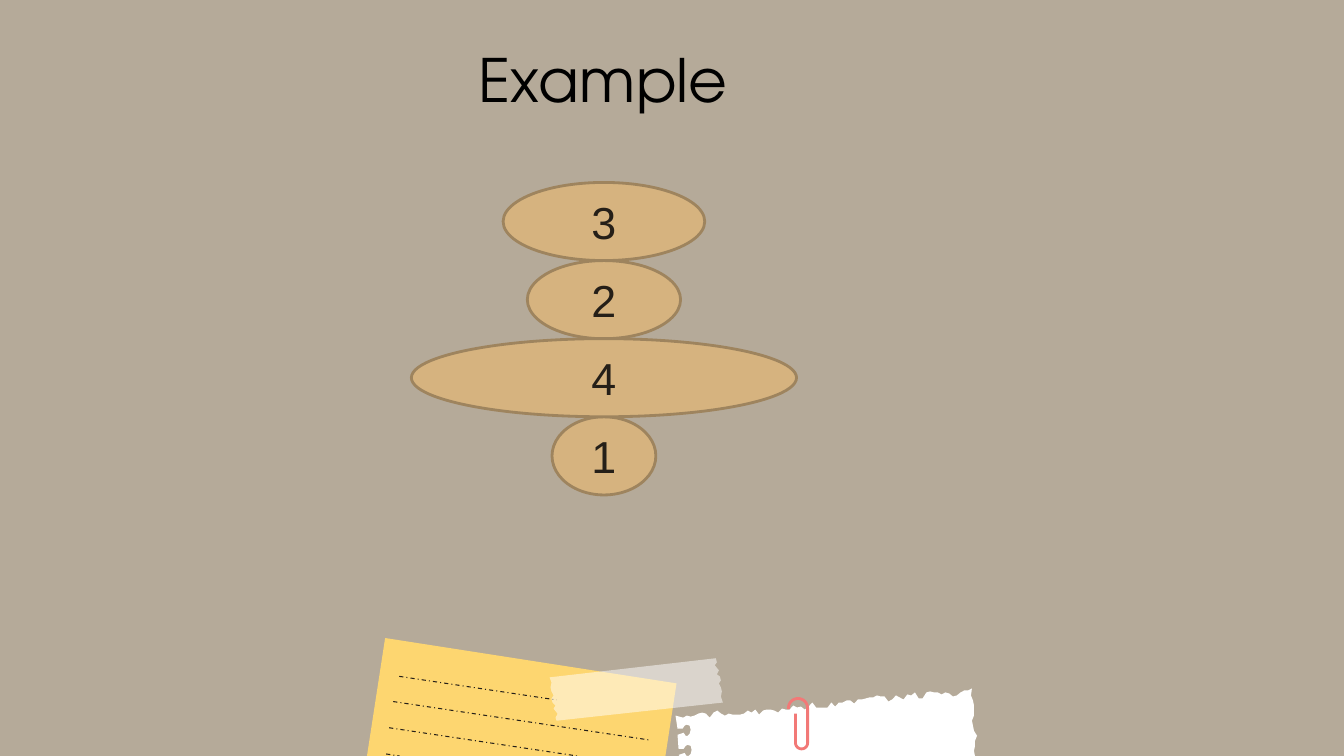
from dataclasses import dataclass
from math import cos, pi, sin

from lxml import etree
from pptx import Presentation
from pptx.dml.color import RGBColor
from pptx.enum.dml import MSO_LINE
from pptx.enum.shapes import MSO_CONNECTOR, MSO_SHAPE
from pptx.enum.text import MSO_ANCHOR, MSO_AUTO_SIZE, PP_ALIGN
from pptx.oxml.ns import qn
from pptx.util import Inches, Pt

DASH_DOT = MSO_LINE.DASH_DOT
STRAIGHT = MSO_CONNECTOR.STRAIGHT
ELLIPSE = MSO_SHAPE.OVAL
MIDDLE = MSO_ANCHOR.MIDDLE
NO_AUTOFIT = MSO_AUTO_SIZE.NONE
CENTER = PP_ALIGN.CENTER
TITLE_ONLY = 5

COLORS = {
    "background": "B5AA99",
    "title": "000000",
    "ink": "251F18",
    "pancake": "D6B37F",
    "crust": "9E845E",
    "note": "FDD670",
    "white": "FFFFFF",
    "clip": "F27977",
}
PANCAKE_ORDER = [3, 2, 4, 1]
PANCAKE_WIDTHS = {1: 1.03, 2: 1.52, 3: 2, 4: 3.82}
RULES = [(0.32, 0.38, 1.56), (0.26, 0.63, 2.54), (0.22, 0.89, 2.54), (0.19, 1.15, 2.54)]
RULE_SLOPE = 0.15
TAPE_OUTLINE = [
    (1.68, 0.12), (1.64, 0.07), (1.66, 0.04), (1.65, 0), (0, 0.19), (0.02, 0.24),
    (0.01, 0.29), (0.02, 0.33), (0.04, 0.37), (0.02, 0.4), (0.03, 0.44), (0.06, 0.47),
    (0.04, 0.5), (0.08, 0.55), (0.06, 0.59), (0.07, 0.62), (1.72, 0.44), (1.7, 0.38),
    (1.71, 0.33), (1.7, 0.29), (1.68, 0.25), (1.7, 0.22), (1.69, 0.18), (1.66, 0.16),
]
TORN_TOP_HUNDREDTHS = [
    27, 28, 29, 27, 28, 27, 25, 24, 25, 29, 24, 22, 25, 27, 25, 26, 26, 26, 25, 22,
    24, 21, 26, 22, 21, 21, 22, 24, 20, 21, 21, 17, 19, 18, 21, 18, 14, 19, 19, 19,
    19, 14, 18, 14, 14, 12, 12, 15, 11, 11, 10, 9, 9, 7, 8, 8, 13, 11, 7, 9,
    11, 6, 7, 4, 10, 10, 4, 3, 4, 4, 6, 4, 5, 8, 7, 4, 2, 2, 0,
]
TORN_RIGHT_HUNDREDTHS = [-1, 1, 2, 2, 2, 0, 1, 2, 5, 3, 3, 2, 3]
HOLE_STARTS = [(0.03, 0.6), (0.02, 0.4)]
HOLE_OUTLINE = [
    (0, 0.06), (0.06, 0.04), (0.08, 0.07), (0.1, 0.07), (0.12, 0.05), (0.13, 0.01),
    (0.12, -0.03), (0.09, -0.04), (0.07, -0.03), (0.05, 0), (0, 0),
]


@dataclass
class Box:
    left: float
    top: float
    width: float
    height: float


def color(name):
    return RGBColor.from_string(COLORS[name])


def write_text(frame, text, font, size, ink):
    frame.word_wrap = True
    frame.auto_size = NO_AUTOFIT
    frame.vertical_anchor = MIDDLE
    para = frame.paragraphs[0]
    para.alignment = CENTER
    span = para.add_run()
    span.text = text
    span.font.name = font
    span.font.size = Pt(size)
    span.font.color.rgb = color(ink)


def draw_outline(page, box, points, fill=None, line=None, line_width=2, alpha=None):
    placed = [(Inches(box.left + x), Inches(box.top + y)) for x, y in points]
    builder = page.shapes.build_freeform(*placed[0])
    builder.add_line_segments(placed[1:], close=fill is not None)
    shape = builder.convert_to_shape()
    shape.shadow.inherit = False
    if fill:
        shape.fill.solid()
        shape.fill.fore_color.rgb = color(fill)
    else:
        shape.fill.background()
    if line:
        shape.line.color.rgb = color(line)
        shape.line.width = Pt(line_width)
    else:
        shape.line.fill.background()
    if alpha:
        tint = shape.fill._xPr.find(qn("a:solidFill"))[0]
        etree.SubElement(tint, qn("a:alpha")).set("val", str(alpha * 1000))


def add_title(page, box, text):
    title = page.shapes.title
    title.left, title.top = Inches(box.left), Inches(box.top)
    title.width, title.height = Inches(box.width), Inches(box.height)
    write_text(title.text_frame, text, "TeX Gyre Adventor", 42.7, "title")


def add_note(page, box):
    outline = [(0.18, 0), (box.width, 0.45), (box.width - 0.11, box.height), (0, box.height)]
    draw_outline(page, box, outline, fill="note")
    for left, top, length in RULES:
        run = min(length, (box.height - top) / RULE_SLOPE)
        x, y = box.left + left, box.top + top
        rule = page.shapes.add_connector(
            STRAIGHT, Inches(x), Inches(y), Inches(x + run), Inches(y + run * RULE_SLOPE))
        rule.line.color.rgb = color("ink")
        rule.line.width = Pt(0.75)
        rule.line.dash_style = DASH_DOT
        etree.SubElement(rule._element.spPr, qn("a:effectLst"))


def add_tape(page, box):
    draw_outline(page, box, TAPE_OUTLINE, fill="white", alpha=50)


def add_torn_paper(page, box):
    step = box.width / (len(TORN_TOP_HUNDREDTHS) - 1)
    points = [(0.04, box.height)]
    for left, top in HOLE_STARTS:
        points += [(left + x, top + y) for x, y in HOLE_OUTLINE]
    points += [(i * step, depth / 100) for i, depth in enumerate(TORN_TOP_HUNDREDTHS)]
    points += [(box.width + shift / 100, 0.07 + i * 0.05)
               for i, shift in enumerate(TORN_RIGHT_HUNDREDTHS)]
    draw_outline(page, box, points, fill="white")


def half_circle(center_x, center_y, radius, start):
    steps = 16
    angles = [start + pi * i / steps for i in range(steps + 1)]
    return [(center_x + radius * cos(a), center_y + radius * sin(a)) for a in angles]


def add_paper_clip(page, box):
    outer, inner = box.width / 2, 0.06
    points = [(0, outer + 0.01)]
    points += half_circle(outer, outer, outer, pi)
    points += half_circle(box.width - inner, box.height - inner, inner, 0)
    points.append((box.width - 2 * inner, 0.15))
    draw_outline(page, box, points, line="clip")


def add_pancakes(page, box):
    height = box.height / len(PANCAKE_ORDER)
    for number, width in PANCAKE_WIDTHS.items():
        left = box.left + (box.width - width) / 2
        top = box.top + PANCAKE_ORDER.index(number) * height
        pancake = page.shapes.add_shape(
            ELLIPSE, Inches(left), Inches(top), Inches(width), Inches(height))
        pancake.shadow.inherit = False
        pancake.fill.solid()
        pancake.fill.fore_color.rgb = color("pancake")
        pancake.line.color.rgb = color("crust")
        pancake.line.width = Pt(2)
        write_text(pancake.text_frame, str(number), "Arial", 32, "ink")


def main():
    deck = Presentation()
    deck.slide_width, deck.slide_height = Inches(13.33), Inches(7.5)
    page = deck.slides.add_slide(deck.slide_layouts[TITLE_ONLY])
    page.background.fill.solid()
    page.background.fill.fore_color.rgb = color("background")
    add_note(page, Box(3.64, 6.33, 3.07, 1.17))
    add_tape(page, Box(5.45, 6.53, 1.72, 0.62))
    add_torn_paper(page, Box(6.7, 6.83, 2.94, 0.67))
    add_paper_clip(page, Box(7.82, 6.93, 0.19, 0.5))
    add_pancakes(page, Box(4.08, 1.81, 3.82, 3.1))
    add_title(page, Box(3.73, 0.37, 4.51, 0.82), "Example")
    deck.save("out.pptx")


if __name__ == "__main__":
    main()
